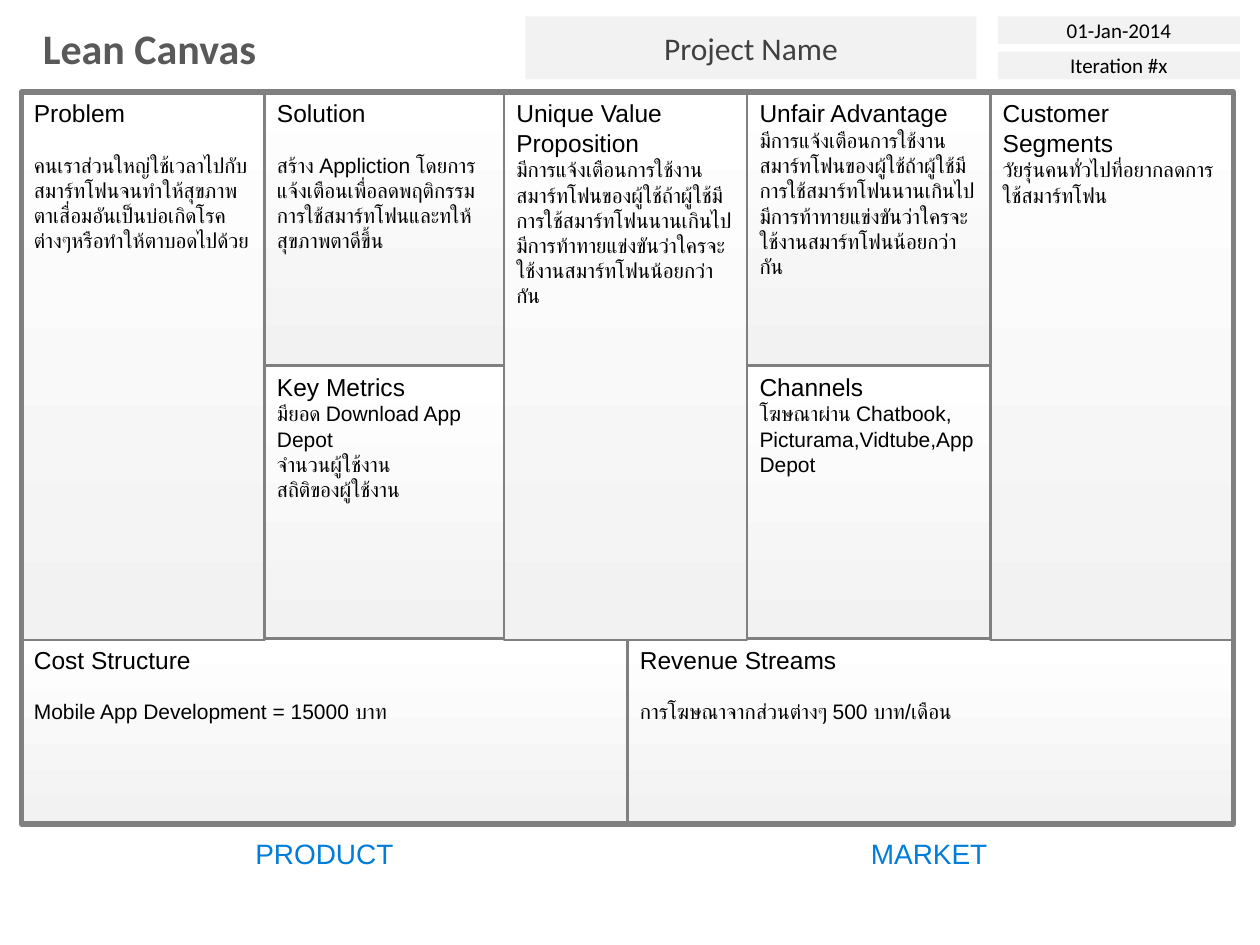
from dataclasses import dataclass
from typing import Any

from pptx import Presentation
from pptx.dml.color import RGBColor
from pptx.enum.shapes import MSO_SHAPE
from pptx.enum.text import MSO_ANCHOR, PP_ALIGN
from pptx.util import Inches, Pt

LEFT, TOP, WIDE, TALL = 0.17, 0.73, 1.93, 4.35
HALF, LOW, BASE = 2.17, 5.07, 1.46
MID = TOP + HALF
SPAN = 4.81
COLS = [LEFT, 2.1, 4, 5.93, 7.86]
GREY, PALE, BLUE = "808080", "F2F2F2", "007DDA"
ALERT = ("มีการแจ้งเตือนการใช้งาน สมาร์ทโฟนของผู้ใช้ถ้าผู้ใช้มีการใช้สมาร์ทโฟนนานเกินไป"
         "มีการท้าทายแข่งขันว่าใครจะใช้งานสมาร์ทโฟนน้อยกว่ากัน")


@dataclass
class Box:
    x: float
    y: float
    w: float
    h: float


@dataclass
class Cell:
    box: Box
    head: str
    lines: list[str]
    gap: int = 0


@dataclass
class Label:
    box: Box
    text: str
    size: int
    color: str


def paint(hue: str) -> RGBColor:
    return RGBColor.from_string(hue)


def apply(target: Any, values: dict[str, Any]) -> None:
    for name, value in values.items():
        setattr(target, name, value)


def place(box: Box) -> dict[str, Any]:
    return {"left": Inches(box.x), "top": Inches(box.y),
            "width": Inches(box.w), "height": Inches(box.h)}


def write(para: Any, text: str, size: int, face: str, hue: str,
          bold: bool = False, align: Any = PP_ALIGN.LEFT, gap: int = 0) -> None:
    apply(para, {"alignment": align, "space_before": Pt(gap)})
    run = para.add_run()
    run.text = text
    apply(run.font, {"size": Pt(size), "name": face, "bold": bold})
    run.font.color.rgb = paint(hue)


def add_box(slide: Any, kind: Any, box: Box) -> Any:
    shape = slide.shapes.add_shape(kind, **place(box))
    shape.shadow.inherit = False
    return shape


def edge(shape: Any, width: float) -> None:
    shape.adjustments[0] = 0
    shape.line.width = Pt(width)
    shape.line.color.rgb = paint(GREY)


def add_title(slide: Any) -> None:
    title = slide.shapes.title
    apply(title, place(Box(0.24, 0.13, 1.92, 0.5)))
    apply(title.text_frame, {"word_wrap": False, "vertical_anchor": MSO_ANCHOR.MIDDLE})
    write(title.text_frame.paragraphs[0], "Lean Canvas", 24, "Calibri", "595959", bold=True)


def add_field(slide: Any, field: Label) -> None:
    shape = add_box(slide, MSO_SHAPE.RECTANGLE, field.box)
    shape.fill.solid()
    shape.fill.fore_color.rgb = paint(PALE)
    shape.line.fill.background()
    shape.text_frame.vertical_anchor = MSO_ANCHOR.MIDDLE
    write(shape.text_frame.paragraphs[0], field.text, field.size, "Calibri",
          field.color, align=PP_ALIGN.CENTER)


def add_cell(slide: Any, cell: Cell) -> None:
    shape = add_box(slide, MSO_SHAPE.ROUNDED_RECTANGLE, cell.box)
    shape.fill.gradient()
    shape.fill.gradient_angle = 90
    for stop, hue in zip(shape.fill.gradient_stops, (PALE, "FFFFFF")):
        stop.color.rgb = paint(hue)
    edge(shape, 1.5)
    frame = shape.text_frame
    apply(frame, {"word_wrap": True, "vertical_anchor": MSO_ANCHOR.TOP})
    write(frame.paragraphs[0], cell.head, 14, "Arial", "000000")
    for line in cell.lines:
        write(frame.add_paragraph(), line, 12, "Arial", "000000", gap=cell.gap)


def add_frame(slide: Any) -> None:
    shape = add_box(slide, MSO_SHAPE.ROUNDED_RECTANGLE, Box(LEFT, TOP, 2 * SPAN, 5.81))
    shape.fill.background()
    edge(shape, 3)


def add_label(slide: Any, label: Label) -> None:
    frame = slide.shapes.add_textbox(**place(label.box)).text_frame
    frame.word_wrap = False
    write(frame.paragraphs[0], label.text, label.size, "Arial", label.color,
          align=PP_ALIGN.CENTER)


def full(col: int) -> Box:
    return Box(COLS[col], TOP, WIDE, TALL)


def half(col: int, y: float) -> Box:
    return Box(COLS[col], y, WIDE, HALF)


FIELDS = [
    Label(Box(4.17, 0.13, 3.58, 0.5), "Project Name", 18, "404040"),
    Label(Box(7.92, 0.13, 1.92, 0.22), "01-Jan-2014", 12, "000000"),
    Label(Box(7.92, 0.41, 1.92, 0.22), "Iteration #x", 12, "000000"),
]
CELLS = [
    Cell(Box(LEFT, LOW, SPAN, BASE), "Cost Structure",
         ["Mobile App Development = 15000 บาท"], 14),
    Cell(Box(LEFT + SPAN, LOW, SPAN, BASE), "Revenue Streams",
         ["การโฆษณาจากส่วนต่างๆ 500 บาท/เดือน"], 14),
    Cell(full(0), "Problem",
         ["คนเราส่วนใหญ่ใช้เวลาไปกับสมาร์ทโฟนจนทำให้สุขภาพตาเสื่อมอันเป็นบ่อเกิดโรค"
          "ต่างๆหรือทำให้ตาบอดไปด้วย"], 14),
    Cell(half(1, TOP), "Solution",
         ["สร้าง Appliction โดยการแจ้งเตือนเพื่อลดพฤติกรรมการใช้สมาร์ทโฟน"
          "และทให้สุขภาพตาดีขึ้น"], 14),
    Cell(half(1, MID), "Key Metrics",
         ["มียอด Download App Depot", "จำนวนผู้ใช้งาน", "สถิติของผู้ใช้งาน"]),
    Cell(full(2), "Unique Value Proposition", [ALERT]),
    Cell(half(3, TOP), "Unfair Advantage", [ALERT]),
    Cell(half(3, MID), "Channels", ["โฆษณาผ่าน Chatbook, Picturama,Vidtube,App Depot"]),
    Cell(full(4), "Customer Segments", ["วัยรุ่นคนทั่วไปที่อยากลดการใช้สมาร์ทโฟน"]),
]
LABELS = [
    Label(Box(1.92, 6.59, 1.31, 0.37), "PRODUCT", 16, BLUE),
    Label(Box(6.81, 6.59, 1.13, 0.37), "MARKET", 16, BLUE),
]


def main() -> None:
    deck = Presentation()
    apply(deck, {"slide_width": Inches(10), "slide_height": Inches(7.5)})
    slide = deck.slides.add_slide(deck.slide_layouts[5])
    add_title(slide)
    for field in FIELDS:
        add_field(slide, field)
    for cell in CELLS:
        add_cell(slide, cell)
    add_frame(slide)
    for label in LABELS:
        add_label(slide, label)
    deck.save("out.pptx")


main()
